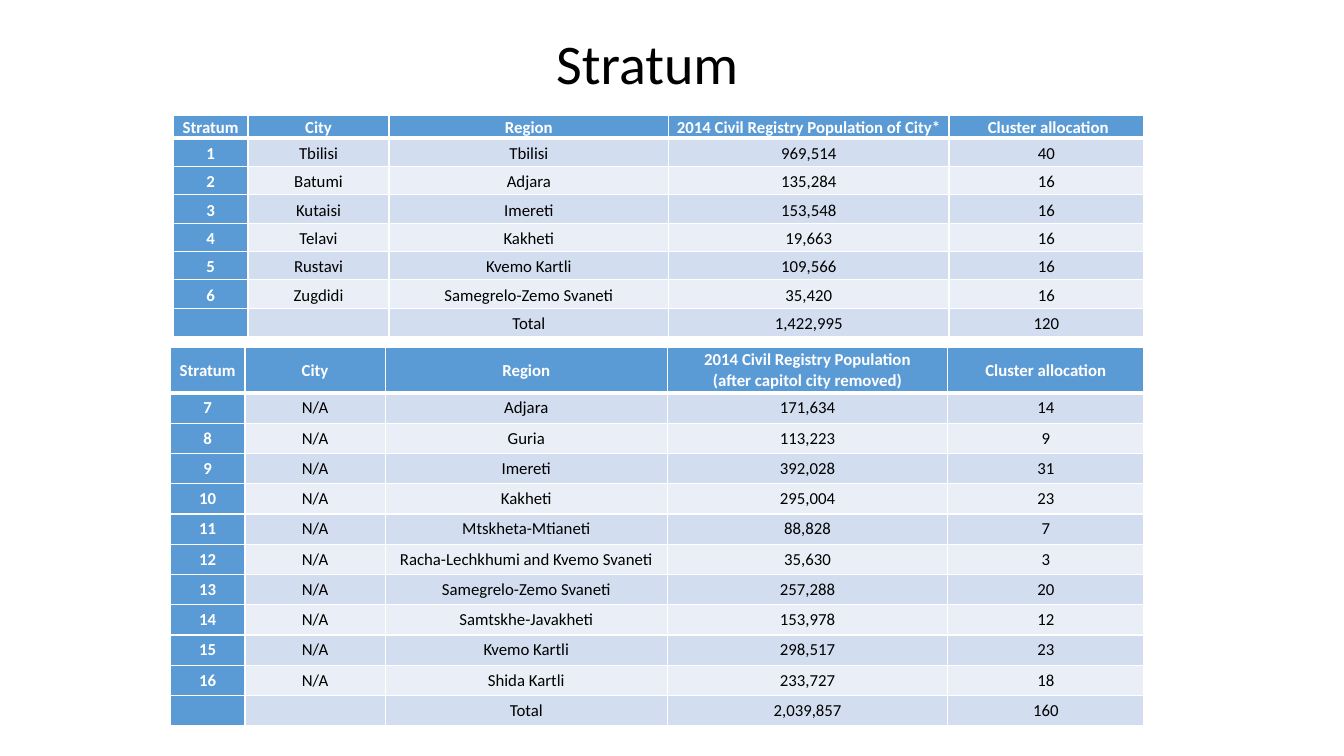
from dataclasses import dataclass

from lxml.etree import SubElement
from pptx import Presentation
from pptx.dml.color import RGBColor
from pptx.enum.text import MSO_ANCHOR, PP_ALIGN
from pptx.oxml.ns import qn
from pptx.util import Inches, Length, Pt

SLIDE_WIDTH, SLIDE_HEIGHT = Inches(13.33), Inches(7.5)


@dataclass(frozen=True)
class Theme:
    font: str = "Calibri"
    title_size: int = 40
    cell_size: int = 12
    text: str = "000000"
    heading_text: str = "FFFFFF"
    heading_fill: str = "5B9BD5"
    odd_fill: str = "D2DEEF"
    even_fill: str = "EAEFF7"
    border: str = "FFFFFF"
    thin: int = 1
    thick: int = 3


@dataclass(frozen=True)
class StratumTable:
    """Lengths are percentages of the slide's width or height."""
    left: float
    top: float
    columns: tuple[float, ...]
    header_height: float
    row_height: float
    line_spacing: float
    inset: float
    rows: tuple[tuple[str, ...], ...]


THEME = Theme()

CITIES = StratumTable(
    left=12.9, top=15.2, columns=(5.55, 10.5, 20.8, 20.86, 14.5),
    header_height=2.67, row_height=3.75, line_spacing=1.15, inset=0.45,
    rows=(
        ("Stratum", "City", "Region", "2014 Civil Registry Population of City*", " Cluster allocation"),
        ("1", "Tbilisi", "Tbilisi", "969,514", "40"),
        ("2", "Batumi", "Adjara", "135,284", "16"),
        ("3", "Kutaisi", "Imereti", "153,548", "16"),
        ("4", "Telavi", "Kakheti", "19,663", "16"),
        ("5", "Rustavi", "Kvemo Kartli", "109,566", "16"),
        ("6", "Zugdidi", "Samegrelo-Zemo Svaneti", "35,420", "16"),
        ("", "", "Total", "1,422,995", "120"),
    ),
)

REGIONS = StratumTable(
    left=12.68, top=46, columns=(5.55, 10.43, 21, 20.86, 14.6),
    header_height=6, row_height=4, line_spacing=1, inset=0.5,
    rows=(
        ("Stratum", "City", "Region",
         "2014 Civil Registry Population\n(after capitol city removed)", "Cluster allocation"),
        ("7", "N/A", "Adjara", "171,634", "14"),
        ("8", "N/A", "Guria", "113,223", "9"),
        ("9", "N/A", "Imereti", "392,028", "31"),
        ("10", "N/A", "Kakheti", "295,004", "23"),
        ("11", "N/A", "Mtskheta-Mtianeti", "88,828", "7"),
        ("12", "N/A", "Racha-Lechkhumi and Kvemo Svaneti", "35,630", "3"),
        ("13", "N/A", "Samegrelo-Zemo Svaneti", "257,288", "20"),
        ("14", "N/A", "Samtskhe-Javakheti", "153,978", "12"),
        ("15", "N/A", "Kvemo Kartli", "298,517", "23"),
        ("16", "N/A", "Shida Kartli", "233,727", "18"),
        ("", "", "Total", "2,039,857", "160"),
    ),
)


def across(percent: float) -> Length:
    return Length(round(SLIDE_WIDTH * percent / 100))


def down(percent: float) -> Length:
    return Length(round(SLIDE_HEIGHT * percent / 100))


def style_paragraph(para, size: int, color: str, bold: bool, spacing: float) -> None:
    para.alignment = PP_ALIGN.CENTER
    para.line_spacing = spacing
    para.font.name = THEME.font
    para.font.size = Pt(size)
    para.font.bold = bold
    para.font.color.rgb = RGBColor.from_string(color)


def set_borders(cell, top: int, bottom: int) -> None:
    """Draw the four cell borders, which must come before the fill."""
    widths = {"a:lnL": THEME.thin, "a:lnR": THEME.thin, "a:lnT": top, "a:lnB": bottom}
    properties = cell._tc.get_or_add_tcPr()
    for position, (side, width) in enumerate(widths.items()):
        line = SubElement(properties, qn(side), w=str(Pt(width)))
        SubElement(SubElement(line, qn("a:solidFill")), qn("a:srgbClr"), val=THEME.border)
        properties.insert(position, line)


def fill_cell(cell, text: str, row: int, column: int, table: StratumTable) -> None:
    heading = row == 0 or column == 0
    band = THEME.odd_fill if row % 2 else THEME.even_fill
    cell.text = text
    cell.vertical_anchor = MSO_ANCHOR.MIDDLE
    cell.margin_left = cell.margin_right = across(table.inset)
    cell.margin_top = cell.margin_bottom = 0
    cell.fill.solid()
    cell.fill.fore_color.rgb = RGBColor.from_string(THEME.heading_fill if heading else band)
    for para in cell.text_frame.paragraphs:
        style_paragraph(para, THEME.cell_size, THEME.heading_text if heading else THEME.text,
                        heading, table.line_spacing)
        if not text:
            SubElement(para._p, qn("a:endParaRPr"), sz=str(THEME.cell_size * 100))
    set_borders(cell, top=THEME.thick if row == 1 else THEME.thin,
                bottom=THEME.thick if row == 0 else THEME.thin)


def add_stratum_table(page, table: StratumTable) -> None:
    height = table.header_height + table.row_height * (len(table.rows) - 1)
    grid = page.shapes.add_table(
        len(table.rows), len(table.columns), across(table.left), down(table.top),
        across(sum(table.columns)), down(height)).table
    for column, width in zip(grid.columns, table.columns):
        column.width = across(width)
    for row, texts in enumerate(table.rows):
        grid.rows[row].height = down(table.row_height if row else table.header_height)
        for column, text in enumerate(texts):
            fill_cell(grid.cell(row, column), text, row, column, table)


def add_title(page, text: str) -> None:
    box = page.shapes.add_textbox(across(39.08), down(3.87), across(18.15), down(9.87))
    frame = box.text_frame
    frame.word_wrap = True
    frame.vertical_anchor = MSO_ANCHOR.MIDDLE
    frame.text = text
    style_paragraph(frame.paragraphs[0], THEME.title_size, THEME.text, False, 0.9)


def main() -> None:
    deck = Presentation()
    deck.slide_width, deck.slide_height = SLIDE_WIDTH, SLIDE_HEIGHT
    page = deck.slides.add_slide(deck.slide_layouts[6])
    add_title(page, "Stratum")
    for table in (CITIES, REGIONS):
        add_stratum_table(page, table)
    deck.save("out.pptx")


if __name__ == "__main__":
    main()
